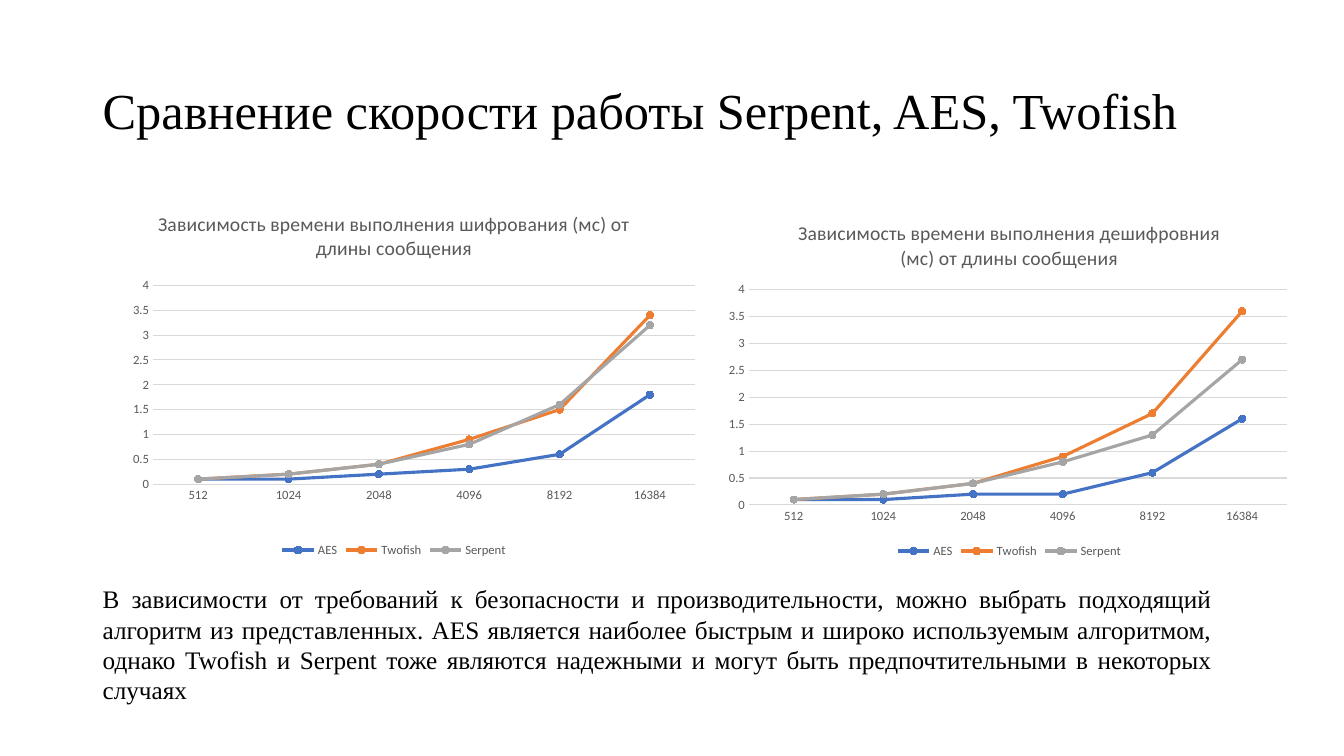
from dataclasses import dataclass

from lxml import etree
from pptx import Presentation
from pptx import util as u
from pptx.chart.data import CategoryChartData
from pptx.dml.color import RGBColor
from pptx.enum import chart as charts, text
from pptx.oxml import ns

GREY, GRID, BLACK = "595959", "D9D9D9", "000000"
LENGTHS = ("512", "1024", "2048", "4096", "8192", "16384")
CIPHER_COLORS = {"AES": "4472C4", "Twofish": "ED7D31", "Serpent": "A5A5A5"}


@dataclass(frozen=True)
class Box:
    left: float
    top: float
    width: float
    height: float

    def inches(self) -> tuple:
        return tuple(map(u.Inches, (self.left, self.top, self.width, self.height)))


@dataclass(frozen=True)
class TextBlock:
    box: Box
    words: str
    size: int
    frame_format: dict
    paragraph_format: dict


@dataclass(frozen=True)
class Timing:
    box: Box
    plot: Box
    heading: str
    times: tuple


TEXTS = (
    TextBlock(
        Box(0.92, 0.4, 11.5, 1.45),
        "Сравнение скорости работы Serpent, AES, Twofish",
        36,
        {"vertical_anchor": text.MSO_ANCHOR.MIDDLE},
        {"line_spacing": 0.9},
    ),
    TextBlock(
        Box(0.92, 5.74, 11.2, 1.31),
        "В зависимости от требований к безопасности и производительности, можно выбрать "
        "подходящий алгоритм из представленных. AES является наиболее быстрым и широко "
        "используемым алгоритмом, однако Twofish и Serpent тоже являются надежными и могут "
        "быть предпочтительными в некоторых случаях",
        18,
        {"auto_size": text.MSO_AUTO_SIZE.SHAPE_TO_FIT_TEXT},
        {"alignment": text.PP_ALIGN.JUSTIFY},
    ),
)

TIMINGS = (
    Timing(
        Box(0.92, 1.92, 5.98, 3.65),
        Box(0.1, 0.25, 0.9, 0.54),
        "Зависимость времени выполнения шифрования (мс) от длины сообщения",
        (
            (0.1, 0.1, 0.2, 0.3, 0.6, 1.8),
            (0.1, 0.2, 0.4, 0.9, 1.5, 3.4),
            (0.1, 0.2, 0.4, 0.8, 1.6, 3.2),
        ),
    ),
    Timing(
        Box(7.14, 2.02, 5.74, 3.56),
        Box(0.05, 0.24, 0.93, 0.6),
        "Зависимость времени выполнения дешифровния (мс) от длины сообщения",
        (
            (0.1, 0.1, 0.2, 0.2, 0.6, 1.6),
            (0.1, 0.2, 0.4, 0.9, 1.7, 3.6),
            (0.1, 0.2, 0.4, 0.8, 1.3, 2.7),
        ),
    ),
)


def rgb(value: str) -> RGBColor:
    return RGBColor.from_string(value)


def apply(target, values: dict) -> None:
    for name, value in values.items():
        setattr(target, name, value)


def style_font(font, size: int, color: str, face: str = "Calibri") -> None:
    apply(font, {"name": face, "size": u.Pt(size), "bold": False})
    font.color.rgb = rgb(color)


def style_line(line, color: str, width: float) -> None:
    line.width = u.Pt(width)
    line.color.rgb = rgb(color)


def add_text(slide, block: TextBlock) -> None:
    frame = slide.shapes.add_textbox(*block.box.inches()).text_frame
    apply(frame, {"word_wrap": True, **block.frame_format})
    paragraph = frame.paragraphs[0]
    apply(paragraph, block.paragraph_format)
    run = paragraph.add_run()
    run.text = block.words
    style_font(run.font, block.size, BLACK, "Times New Roman")


def place_plot(chart, plot: Box) -> None:
    area = chart.element.xpath("c:chart/c:plotArea")[0]
    for automatic in area.findall(ns.qn("c:layout")):
        area.remove(automatic)
    layout = etree.Element(ns.qn("c:layout"))
    manual = etree.SubElement(layout, ns.qn("c:manualLayout"))
    settings = {
        "layoutTarget": "inner", "xMode": "edge", "yMode": "edge",
        "x": plot.left, "y": plot.top, "w": plot.width, "h": plot.height,
    }
    for tag, value in settings.items():
        etree.SubElement(manual, ns.qn(f"c:{tag}"), val=str(value))
    area.insert(0, layout)


def add_timing(slide, timing: Timing) -> None:
    data = CategoryChartData()
    data.categories = LENGTHS
    for cipher, times in zip(CIPHER_COLORS, timing.times):
        data.add_series(cipher, times)
    chart = slide.shapes.add_chart(
        charts.XL_CHART_TYPE.LINE_MARKERS, *timing.box.inches(), data
    ).chart
    style_font(chart.font, 10, BLACK)

    heading = chart.chart_title.text_frame.paragraphs[0].add_run()
    heading.text = timing.heading
    style_font(heading.font, 14, GREY)
    chart.chart_title.include_in_layout = False

    chart.has_legend = True
    apply(chart.legend, {
        "position": charts.XL_LEGEND_POSITION.BOTTOM,
        "include_in_layout": False,
    })
    style_font(chart.legend.font, 9, GREY)

    lengths, milliseconds = chart.category_axis, chart.value_axis
    for axis in (lengths, milliseconds):
        apply(axis, {
            "major_tick_mark": charts.XL_TICK_MARK.NONE,
            "minor_tick_mark": charts.XL_TICK_MARK.NONE,
        })
        style_font(axis.tick_labels.font, 9, GREY)
    style_line(lengths.format.line, GRID, 0.75)
    milliseconds.format.line.fill.background()
    apply(milliseconds, {"minimum_scale": 0, "maximum_scale": 4, "major_unit": 0.5})
    style_line(milliseconds.major_gridlines.format.line, GRID, 0.75)

    chart.plots[0].vary_by_categories = False
    for series, color in zip(chart.plots[0].series, CIPHER_COLORS.values()):
        series.smooth = False
        style_line(series.format.line, color, 2.25)
        apply(series.marker, {"style": charts.XL_MARKER_STYLE.CIRCLE, "size": 5})
        series.marker.format.fill.solid()
        series.marker.format.fill.fore_color.rgb = rgb(color)
        style_line(series.marker.format.line, color, 0.75)
    place_plot(chart, timing.plot)


def main() -> None:
    deck = Presentation()
    apply(deck, {"slide_width": u.Inches(13.33), "slide_height": u.Inches(7.5)})
    slide = deck.slides.add_slide(deck.slide_layouts[6])
    for block in TEXTS:
        add_text(slide, block)
    for timing in TIMINGS:
        add_timing(slide, timing)
    deck.save("out.pptx")


if __name__ == "__main__":
    main()
